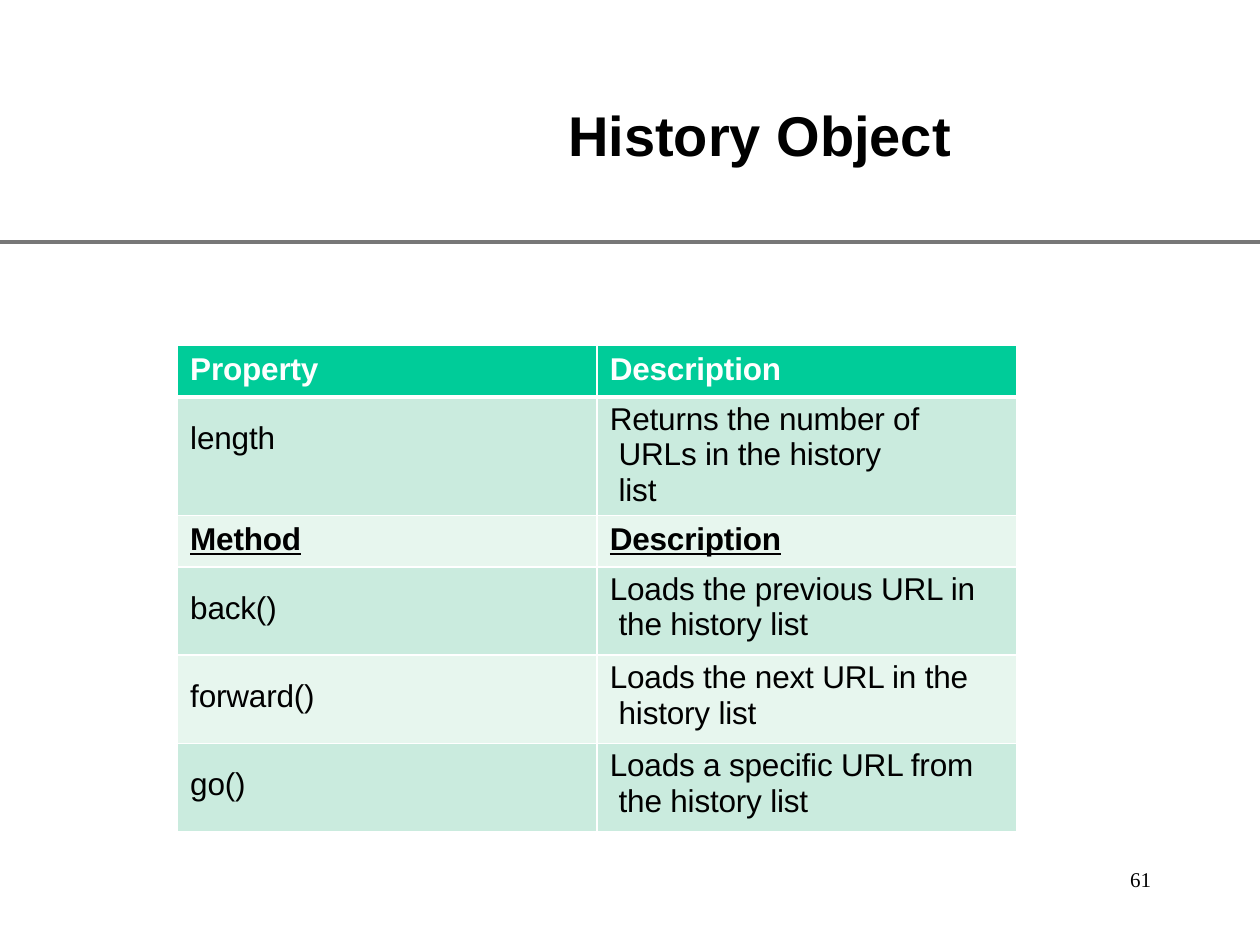
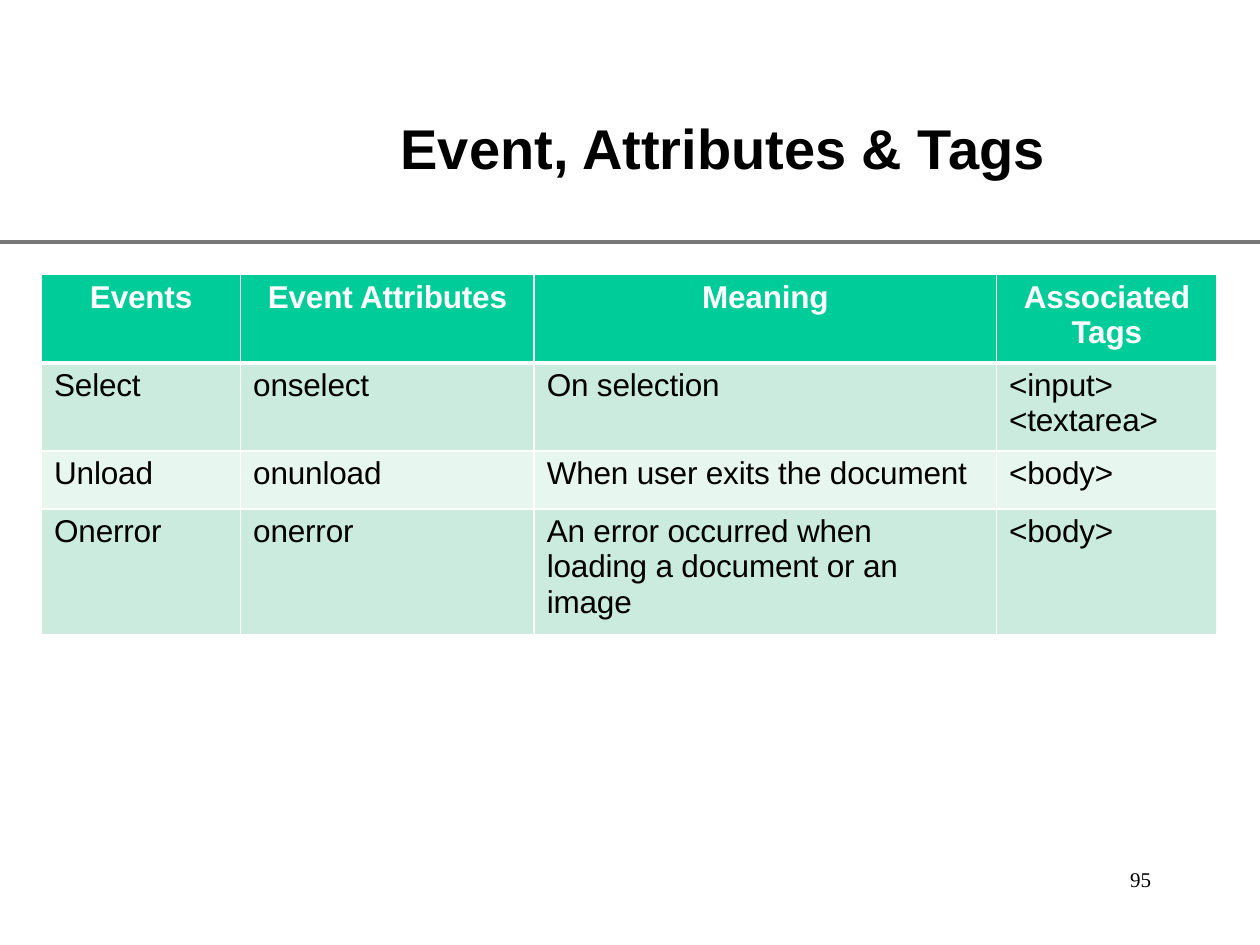
import pptx
import pptx.dml.color
import pptx.enum.shapes
import pptx.enum.text
import pptx.oxml
import pptx.oxml.ns
import pptx.util
from lxml import etree

Inches = pptx.util.Inches
Pt = pptx.util.Pt
RGBColor = pptx.dml.color.RGBColor
qn = pptx.oxml.ns.qn
CENTER = pptx.enum.text.PP_ALIGN.CENTER

BLACK = RGBColor(0x00, 0x00, 0x00)
WHITE = RGBColor(0xFF, 0xFF, 0xFF)
GREY = RGBColor(0x77, 0x77, 0x77)
GREEN = RGBColor(0x00, 0xCC, 0x99)
BANDS = (RGBColor(0xCA, 0xEB, 0xDE), RGBColor(0xE7, 0xF6, 0xEE))

SLIDE_W, SLIDE_H = 10, 7.5
INDENT = 0.1  # left indent of body cells
HANG = 0.07  # extra indent of wrapped lines


def add_run(p, text, size, font="Arial", color=BLACK, bold=False):
    r = p.add_run()
    r.text = text
    r.font.name, r.font.size = font, Pt(size)
    r.font.bold, r.font.color.rgb = bold, color
    return r


def add_text(slide, box, text, size, **style):
    sp = slide.shapes.add_textbox(*map(Inches, box))
    tf = sp.text_frame
    tf.word_wrap = False
    tf.margin_left = tf.margin_right = tf.margin_bottom = 0
    tf.margin_top = Inches(0.01)
    p = tf.paragraphs[0]
    p.space_before = Pt(1)
    add_run(p, text, size, **style)


def add_frame(prs, title, title_box, number):
    """Blank slide with the title, the rule below it and the page number."""
    slide = prs.slides.add_slide(prs.slide_layouts[6])
    rule = slide.shapes.add_connector(
        pptx.enum.shapes.MSO_CONNECTOR.STRAIGHT,
        0, Inches(1.92), Inches(SLIDE_W), Inches(1.92))
    rule.line.color.rgb, rule.line.width = GREY, Pt(2.04)
    etree.SubElement(rule._element.spPr, qn("a:effectLst"))
    add_text(slide, title_box, title, 32, bold=True)
    add_text(slide, (8.97, 6.87, 0.19, 0.23), number, 12, font="Times New Roman")
    return slide


def set_borders(cell, top, bottom):
    tcPr = cell._tc.get_or_add_tcPr()
    for side, width in (("L", 1), ("R", 1), ("T", top), ("B", bottom)):
        ln = etree.SubElement(tcPr, qn("a:ln" + side), w=str(Pt(width)))
        fill = etree.SubElement(ln, qn("a:solidFill"))
        etree.SubElement(fill, qn("a:srgbClr"), val=str(WHITE))


def fill_cell(cell, text, color, bold=False, underline=False, align=None,
              top=0.04, right=0.0, hang=0.0):
    cell.margin_left = cell.margin_bottom = 0
    cell.margin_top, cell.margin_right = Inches(top), Inches(right)
    tf = cell.text_frame
    for i, line in enumerate(text.split("\n")):
        p = tf.add_paragraph() if i else tf.paragraphs[0]
        if align is not None:
            p.alignment = align
        else:
            pPr = p._p.get_or_add_pPr()
            pPr.set("marL", str(Inches(INDENT + hang)))
            pPr.set("indent", str(-Inches(hang)))
        r = add_run(p, line, 18, color=color, bold=bold)
        r.font.underline = underline
        r._r.get_or_add_rPr().set("spc", "-10")


def add_grid(slide, left, top, widths, heights, rows, cell_style):
    """Banded table; cell_style(row, column) gives the options of a cell."""
    frame = slide.shapes.add_table(
        len(rows), len(widths), Inches(left), Inches(top),
        Inches(sum(widths)), Inches(sum(heights)))
    table = frame.table
    for col, width in zip(table.columns, widths):
        col.width = Inches(width)
    for i, (texts, height) in enumerate(zip(rows, heights)):
        table.rows[i].height = Inches(height)
        for j, text in enumerate(texts):
            cell = table.cell(i, j)
            set_borders(cell, 3 if i == 1 else 1, 3 if i == 0 else 1)
            cell.fill.solid()
            cell.fill.fore_color.rgb = BANDS[(i - 1) % 2] if i else GREEN
            style = cell_style(i, j)
            fill_cell(cell, text, BLACK if i else WHITE,
                      **{"bold": i == 0, **style})


def history_slide(prs):
    slide = add_frame(prs, "History Object", (4.51, 0.79, 3.07, 0.56), "61")
    rows = [
        ("Property", "Description"),
        ("length", "Returns the number of URLs in the history list"),
        ("Method", "Description"),
        ("back()", "Loads the previous URL in the history list"),
        ("forward()", "Loads the next URL in the history list"),
        ("go()", "Loads a specific URL from the history list"),
    ]

    def cell_style(i, j):
        if i in (0, 2):  # the two heading rows
            return {"bold": True, "underline": i == 2, "top": 0.05}
        if j == 0:
            return {"top": 0.19}
        return {"hang": HANG, "right": 0.72 if i == 1 else 0.1}

    add_grid(slide, 1.41, 2.74, (3.33, 3.33),
             (0.41, 0.93, 0.41, 0.7, 0.7, 0.7), rows, cell_style)


def events_slide(prs):
    slide = add_frame(prs, "Event, Attributes & Tags",
                      (3.18, 0.89, 5.18, 0.56), "95")
    rows = [
        ("Events", "Event Attributes", "Meaning", "Associated Tags"),
        ("Select", "onselect", "On selection", "<input>\n<textarea>"),
        ("Unload", "onunload", "When user exits the document", "<body>"),
        ("Onerror", "onerror",
         "An error occurred when loading a document or an image", "<body>"),
    ]

    def cell_style(i, j):
        if i == 0:
            return {"align": CENTER}
        return {"right": 0.4} if (i, j) == (3, 2) else {}

    add_grid(slide, 0.33, 2.18, (1.58, 2.33, 3.67, 1.75),
             (0.7, 0.7, 0.46, 1), rows, cell_style)


def main():
    prs = pptx.Presentation()
    prs.slide_width, prs.slide_height = Inches(SLIDE_W), Inches(SLIDE_H)
    history_slide(prs)
    events_slide(prs)
    prs.save("out.pptx")


if __name__ == "__main__":
    main()
